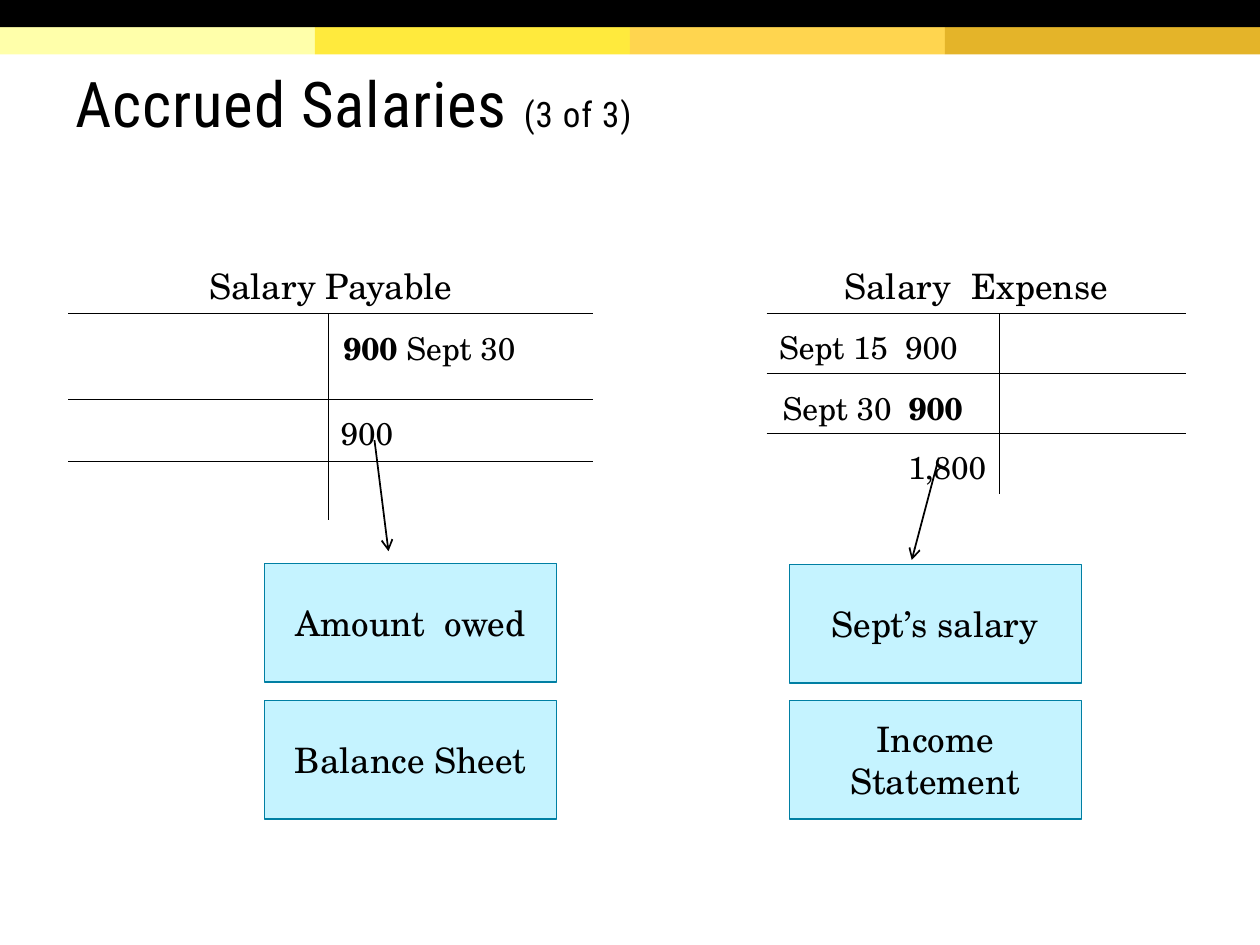
from dataclasses import dataclass

from lxml.etree import SubElement
from pptx import Presentation
from pptx.dml.color import RGBColor
from pptx.enum.shapes import MSO_CONNECTOR, MSO_SHAPE
from pptx.enum.text import MSO_ANCHOR, PP_ALIGN
from pptx.oxml.ns import qn
from pptx.util import Pt

BLACK = RGBColor(0x00, 0x00, 0x00)
TEAL = RGBColor(0x00, 0x7F, 0xA3)
PALE_BLUE = RGBColor(0xC5, 0xF3, 0xFF)
BANDS = [
    RGBColor(0xFF, 0xFF, 0xAA),
    RGBColor(0xFF, 0xEA, 0x3D),
    RGBColor(0xFF, 0xD5, 0x4F),
    RGBColor(0xE4, 0xB4, 0x29),
]
TITLE_FONT = "Roboto Condensed"
BODY_FONT = "TeX Gyre Schola"
PAGE_WIDTH = 720
BAND_HEIGHT = 15.6


@dataclass
class Entry:
    row: int
    column: int
    amount: str
    date: str = ""
    amount_first: bool = False
    bold: bool = False
    align: PP_ALIGN = PP_ALIGN.LEFT
    indent: float = 0
    tab: float = 0


@dataclass
class Account:
    name: str
    left: float
    columns: list[float]
    rows: list[float]
    entries: list[Entry]


@dataclass
class Arrow:
    start: tuple[float, float]
    end: tuple[float, float]


@dataclass
class Label:
    text: str
    left: float
    top: float


ACCOUNTS = [
    Account("Salary Payable", 39, [148.5, 151.5], [36.4, 49.2, 35.2, 33.4], [
        Entry(1, 1, "900", "Sept 30", amount_first=True, bold=True, indent=1.5, tab=73),
        Entry(2, 1, "900"),
    ]),
    Account("Salary  Expense", 438, [132.8, 107], [36.4, 34, 34.8, 34.8], [
        Entry(1, 0, "900", "Sept 15", tab=87.5),
        Entry(2, 0, "900", "Sept 30", bold=True, indent=2, tab=84.7),
        Entry(3, 0, "1,800", align=PP_ALIGN.RIGHT),
    ]),
]
ARROWS = [
    Arrow((214, 251.5), (222, 315)),
    Arrow((536.5, 261.5), (521, 320)),
]
LABELS = [
    Label("Amount  owed", 151, 322),
    Label("Balance Sheet", 151, 400.2),
    Label("Sept’s salary", 451, 322.5),
    Label("Income Statement", 451, 400.2),
]


def add_text(para, text: str, *, size: float, font: str = BODY_FONT,
             bold: bool = False, spacing: int = 0) -> None:
    span = para.add_run()
    span.text = text
    span.font.name = font
    span.font.size = Pt(size)
    span.font.bold = bold
    span.font.color.rgb = BLACK
    if spacing:
        span.font._element.set("spc", str(spacing))


def add_block(page, left: float, top: float, width: float, height: float,
              fill: RGBColor, outline: RGBColor | None = None):
    block = page.shapes.add_shape(
        MSO_SHAPE.RECTANGLE, Pt(left), Pt(top), Pt(width), Pt(height))
    block.shadow.inherit = False
    block.fill.solid()
    block.fill.fore_color.rgb = fill
    if outline is None:
        block.line.fill.background()
    else:
        block.line.color.rgb = outline
        block.line.width = Pt(0.75)
    return block


def add_title(page) -> None:
    box = page.shapes.add_textbox(Pt(36), Pt(16.6), Pt(648), Pt(86.4))
    frame = box.text_frame
    frame.word_wrap = True
    frame.vertical_anchor = MSO_ANCHOR.MIDDLE
    frame.margin_top = Pt(7.2)
    para = frame.paragraphs[0]
    para.line_spacing = 0.85
    for text, size in (("Accrued Salaries ", 36), ("(3 of 3)", 20)):
        add_text(para, text, size=size, font=TITLE_FONT, spacing=50)


def set_borders(cell, visible: set[str]) -> None:
    properties = cell._tc.get_or_add_tcPr()
    for position, side in enumerate(("lnL", "lnR", "lnT", "lnB")):
        line = properties.makeelement(qn(f"a:{side}"), {"w": str(Pt(0.25))})
        if side in visible:
            fill = SubElement(line, qn("a:solidFill"))
            SubElement(fill, qn("a:srgbClr"), val=str(BLACK))
        else:
            SubElement(line, qn("a:noFill"))
        properties.insert(position, line)


def write_entry(cell, entry: Entry) -> None:
    para = cell.text_frame.paragraphs[0]
    spans = [(entry.amount, entry.bold)]
    if entry.date:
        cell.margin_right = Pt(0)
        properties = para._p.get_or_add_pPr()
        properties.set("marL", str(Pt(entry.indent)))
        properties.set("indent", "0")
        tabs = SubElement(properties, qn("a:tabLst"))
        SubElement(tabs, qn("a:tab"), pos=str(Pt(entry.tab)), algn="l")
        spans += [("\t", False), (entry.date, False)]
        if not entry.amount_first:
            spans.reverse()
    para.alignment = entry.align
    for text, bold in spans:
        add_text(para, text, size=18, bold=bold)


def add_account(page, account: Account) -> None:
    table = page.shapes.add_table(
        len(account.rows), len(account.columns), Pt(account.left), Pt(142.6),
        Pt(sum(account.columns)), Pt(sum(account.rows))).table
    table.first_row = False
    table.horz_banding = False
    for column, width in zip(table.columns, account.columns):
        column.width = Pt(width)
    last = len(account.rows) - 1
    for index, (row, height) in enumerate(zip(table.rows, account.rows)):
        row.height = Pt(height)
        for side, cell in zip(("lnR", "lnL"), row.cells):
            cell.fill.background()
            cell.margin_top = cell.margin_bottom = Pt(6)
            visible = {side, "lnT"} if index > 0 else set()
            if index < last:
                visible.add("lnB")
            set_borders(cell, visible)
    heading = table.cell(0, 0)
    heading.merge(table.cell(0, 1))
    para = heading.text_frame.paragraphs[0]
    para.alignment = PP_ALIGN.CENTER
    add_text(para, account.name, size=20)
    for entry in account.entries:
        write_entry(table.cell(entry.row, entry.column), entry)


def add_arrow(page, arrow: Arrow) -> None:
    connector = page.shapes.add_connector(
        MSO_CONNECTOR.STRAIGHT, *(Pt(value) for value in arrow.start + arrow.end))
    connector.line.color.rgb = BLACK
    connector.line.width = Pt(1)
    SubElement(connector.line._get_or_add_ln(), qn("a:tailEnd"), type="arrow")
    SubElement(connector._element.spPr, qn("a:effectLst"))


def add_label(page, label: Label) -> None:
    box = add_block(page, label.left, label.top, 167, 67.8, PALE_BLUE, TEAL)
    frame = box.text_frame
    frame.word_wrap = True
    frame.vertical_anchor = MSO_ANCHOR.MIDDLE
    frame.margin_top = frame.margin_bottom = Pt(7.2)
    para = frame.paragraphs[0]
    para.alignment = PP_ALIGN.CENTER
    add_text(para, label.text, size=20)


def main() -> None:
    deck = Presentation()
    deck.slide_width, deck.slide_height = Pt(PAGE_WIDTH), Pt(540)
    page = deck.slides.add_slide(deck.slide_layouts[6])
    band_width = PAGE_WIDTH / len(BANDS)
    for index, color in enumerate(BANDS):
        add_block(page, index * band_width, BAND_HEIGHT, band_width, BAND_HEIGHT, color)
    add_block(page, 0, 0, PAGE_WIDTH, BAND_HEIGHT, BLACK)
    add_title(page)
    for account in ACCOUNTS:
        add_account(page, account)
    for arrow in ARROWS:
        add_arrow(page, arrow)
    for label in LABELS:
        add_label(page, label)
    deck.save("out.pptx")


if __name__ == "__main__":
    main()
